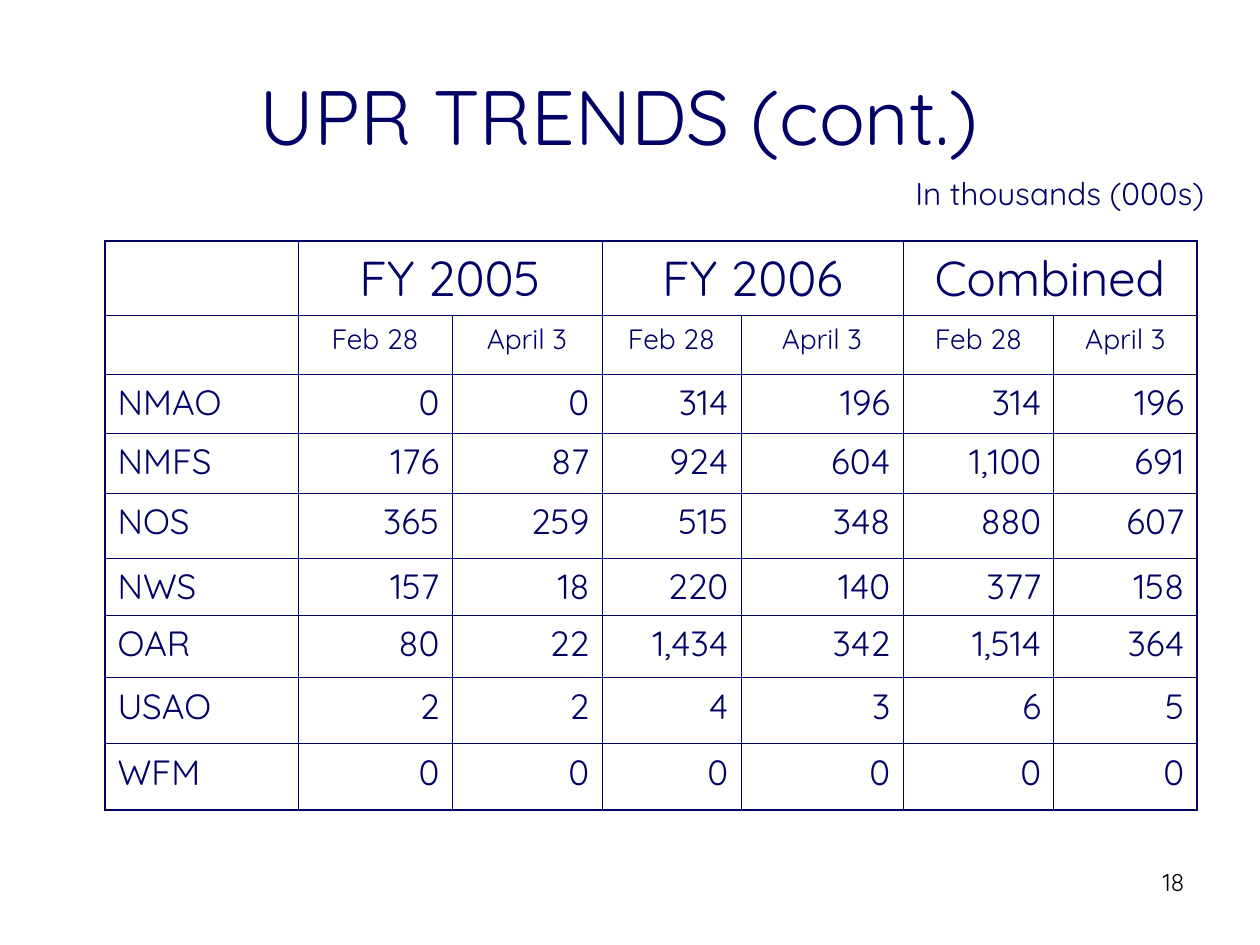
"""Builds the UPR trends slide with its table of counts by office and year."""
from dataclasses import dataclass

from lxml import etree
from pptx import Presentation
from pptx import util as u
from pptx.dml.color import RGBColor
from pptx.enum import text
from pptx.oxml import ns

PX = u.Inches(1) // 126
ALIGN = text.PP_ALIGN


@dataclass(frozen=True)
class Theme:
    font: str = "Quicksand"
    navy: str = "000066"
    black: str = "000000"
    title: int = 44
    year: int = 28
    date: int = 16
    body: int = 20
    note: int = 18
    page: int = 14
    inner_line: float = 0.45
    outer_line: float = 1.08


THEME = Theme()
TABLE_LEFT, TABLE_TOP = 105, 241
COLUMN_WIDTHS = [193, 154, 150, 139, 162, 151, 143]
ROW_HEIGHTS = [74, 59, 59, 60, 65, 57, 63, 66, 66]
YEARS = ["FY 2005", "FY 2006", "Combined"]
DATES = ["Feb 28", "April 3"]
OFFICES = [
    ["NMAO", "0", "0", "314", "196", "314", "196"],
    ["NMFS", "176", "87", "924", "604", "1,100", "691"],
    ["NOS", "365", "259", "515", "348", "880", "607"],
    ["NWS", "157", "18", "220", "140", "377", "158"],
    ["OAR", "80", "22", "1,434", "342", "1,514", "364"],
    ["USAO", "2", "2", "4", "3", "6", "5"],
    ["WFM", "0", "0", "0", "0", "0", "0"],
]


def write(text_frame, words, size, alignment=ALIGN.LEFT, color=THEME.navy):
    text_frame.text = words
    paragraph = text_frame.paragraphs[0]
    paragraph.alignment = alignment
    for run in paragraph.runs:
        run.font.name = THEME.font
        run.font.size = u.Pt(size)
        run.font.color.rgb = RGBColor.from_string(color)


def place(shape, left, top, width, height):
    shape.left, shape.top = left * PX, top * PX
    shape.width, shape.height = width * PX, height * PX


def add_title(slide, words):
    title = slide.shapes.title
    place(title, 63, 38, 1134, 154)
    title.text_frame.vertical_anchor = text.MSO_ANCHOR.MIDDLE
    write(title.text_frame, words, THEME.title, ALIGN.CENTER)


def add_label(slide, box, words, size, **style):
    label = slide.shapes.add_textbox(*(length * PX for length in box))
    label.text_frame.word_wrap = True
    write(label.text_frame, words, size, **style)


def set_borders(cell, outer_edges):
    properties = cell._tc.get_or_add_tcPr()
    for edge in "LRTB":
        width = THEME.outer_line if edge in outer_edges else THEME.inner_line
        line = etree.SubElement(properties, ns.qn(f"a:ln{edge}"), w=str(u.Pt(width)))
        fill = etree.SubElement(line, ns.qn("a:solidFill"))
        etree.SubElement(fill, ns.qn("a:srgbClr"), val=THEME.navy)


def format_cell(table, row, column):
    cell = table.cell(row, column)
    if cell.is_spanned:
        return
    last_column = column + (cell.span_width if cell.is_merge_origin else 1)
    at_edge = {
        "L": column == 0,
        "R": last_column == len(COLUMN_WIDTHS),
        "T": row == 0,
        "B": row == len(ROW_HEIGHTS) - 1,
    }
    set_borders(cell, [edge for edge, outer in at_edge.items() if outer])
    cell.fill.background()


def add_trends_table(slide):
    rows, columns = len(ROW_HEIGHTS), len(COLUMN_WIDTHS)
    box = (TABLE_LEFT, TABLE_TOP, sum(COLUMN_WIDTHS), sum(ROW_HEIGHTS))
    table = slide.shapes.add_table(rows, columns, *(length * PX for length in box)).table
    table.first_row = table.horz_banding = False
    for column, width in zip(table.columns, COLUMN_WIDTHS):
        column.width = width * PX
    for row, height in zip(table.rows, ROW_HEIGHTS):
        row.height = height * PX

    for index, year in enumerate(YEARS):
        first = 1 + index * len(DATES)
        table.cell(0, first).merge(table.cell(0, first + len(DATES) - 1))
        write(table.cell(0, first).text_frame, year, THEME.year, ALIGN.CENTER)
        for column, date in enumerate(DATES, first):
            write(table.cell(1, column).text_frame, date, THEME.date, ALIGN.CENTER)
    for row, values in enumerate(OFFICES, 2):
        for column, value in enumerate(values):
            alignment = ALIGN.RIGHT if column else ALIGN.LEFT
            write(table.cell(row, column).text_frame, value, THEME.body, alignment)

    for row in range(rows):
        for column in range(columns):
            format_cell(table, row, column)


def main():
    presentation = Presentation()
    presentation.slide_width, presentation.slide_height = 1260 * PX, 945 * PX
    slide = presentation.slides.add_slide(presentation.slide_layouts[5])
    add_title(slide, "UPR TRENDS (cont.) ")
    add_trends_table(slide)
    add_label(slide, (903, 168, 329, 88), "In thousands (000s)", THEME.note)
    add_label(slide, (903, 861, 294, 66), "18", THEME.page,
              alignment=ALIGN.RIGHT, color=THEME.black)
    presentation.save("out.pptx")


if __name__ == "__main__":
    main()
